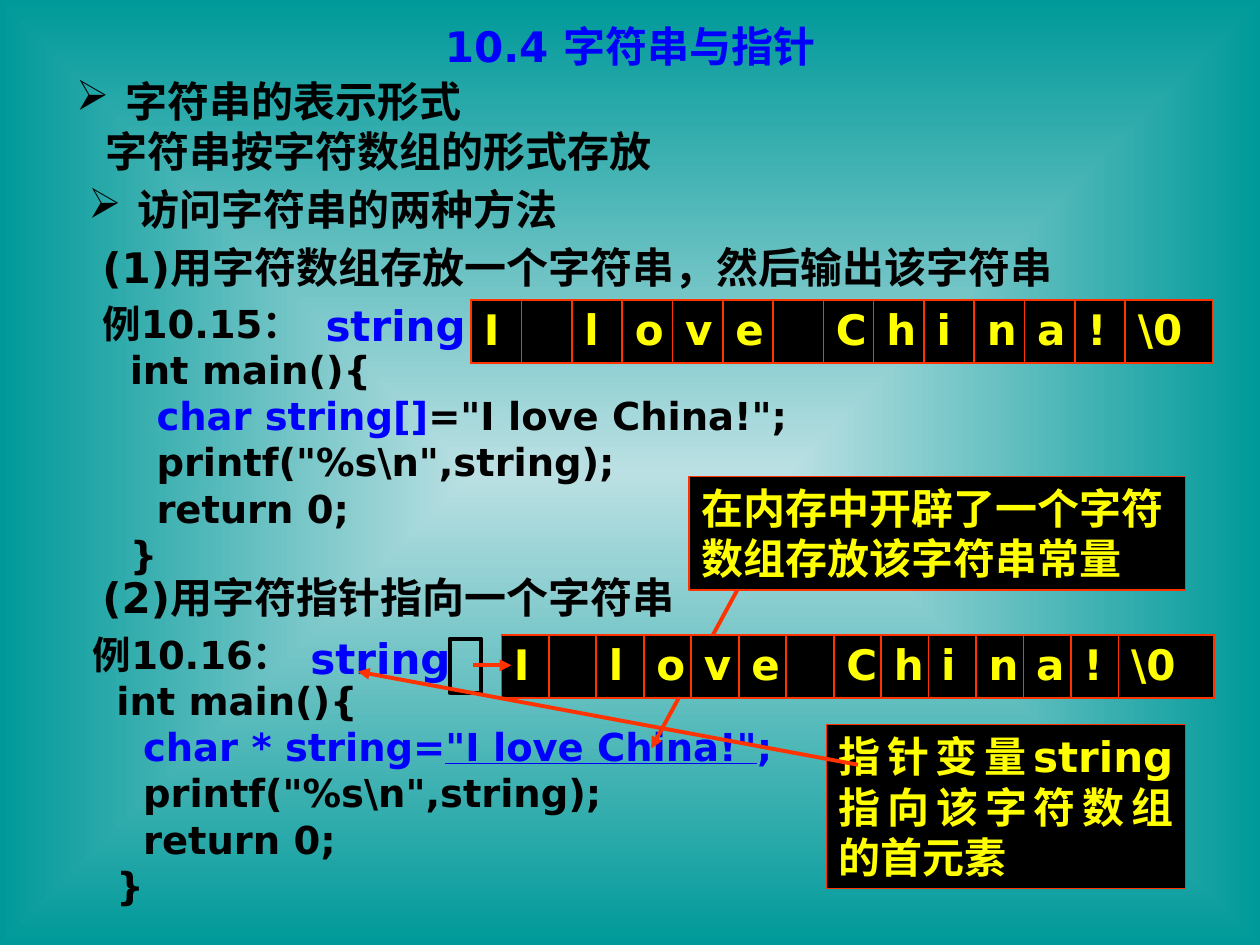
import pptx
import pptx.chart.data
import pptx.dml.color
import pptx.enum.shapes
import pptx.enum.text
import pptx.oxml
import pptx.oxml.ns
import pptx.util
from lxml import etree

Pt = pptx.util.Pt
ALIGN = pptx.enum.text.PP_ALIGN
ANCHOR = pptx.enum.text.MSO_ANCHOR
RECTANGLE = pptx.enum.shapes.MSO_SHAPE.RECTANGLE
STRAIGHT = pptx.enum.shapes.MSO_CONNECTOR.STRAIGHT
qn = pptx.oxml.ns.qn
BLACK, BLUE, YELLOW, RED = "000000", "0000FF", "FFFF00", "FF3300"


def color(value):
    return pptx.dml.color.RGBColor.from_string(value)


def write(frame, lines, size=24, ink=BLACK, align=ALIGN.LEFT, inset=(7.2, 3.6), anchor=ANCHOR.TOP):
    """Fill a frame; a line is (indent, bullet, spans), a span is (text, ink, underline)."""
    settings = {"word_wrap": True, "vertical_anchor": anchor,
                "margin_left": Pt(inset[0]), "margin_right": Pt(inset[0]),
                "margin_top": Pt(inset[1]), "margin_bottom": Pt(inset[1])}
    for name, value in settings.items():
        setattr(frame, name, value)
    for number, (indent, bullet, spans) in enumerate(lines):
        para = frame.add_paragraph() if number else frame.paragraphs[0]
        para.alignment = align
        para.space_before = Pt(0)
        props = para._p.get_or_add_pPr()
        props.set("marL", str(Pt(indent)))
        props.set("indent", str(Pt(-28) if bullet else 0))
        if bullet:
            bullet_color = etree.SubElement(props, qn("a:buClr"))
            etree.SubElement(bullet_color, qn("a:srgbClr"), val=BLACK)
            etree.SubElement(props, qn("a:buChar"), char="➢")
        else:
            etree.SubElement(props, qn("a:buNone"))
        for text, span_ink, underline in spans:
            span = para.add_run()
            span.text = text
            look = {"name": "DejaVu Sans", "size": Pt(size), "bold": True, "underline": underline}
            for name, value in look.items():
                setattr(span.font, name, value)
            span.font.color.rgb = color(span_ink or ink)


deck = pptx.Presentation()
deck.slide_width, deck.slide_height = Pt(720), Pt(540)
page = deck.slides.add_slide(deck.slide_layouts[5])

backdrop = page.background.fill
backdrop.gradient()
for stop, value in zip(backdrop.gradient_stops, ("BBE0E3", "009999")):
    stop.color.rgb = color(value)
gradient = page.element.xpath(".//p:bg//a:gradFill")[0]
gradient.remove(gradient.find(qn("a:lin")))
radial = etree.SubElement(gradient, qn("a:path"))
radial.set("path", "rect")
etree.SubElement(radial, qn("a:fillToRect"), l="50000", t="50000", r="50000", b="50000")

title = page.shapes.title
title.left, title.top, title.width, title.height = Pt(36), Pt(8), Pt(648), Pt(36)
write(title.text_frame, [(0, False, [("10.4 字符串与指针", None, None)])],
      ink=BLUE, align=ALIGN.CENTER, anchor=ANCHOR.MIDDLE)

# Outline text and code: top, height, size, lines
array_code = [
    (15, False, [("例10.15：", None, None)]),
    (0, False, [("    int main(){", None, None)]),
    (0, False, [("      ", None, None), ("char string[]", BLUE, None),
                ('="I love China!";', None, None)]),
    (0, False, [('      printf("%s\\n",string);', None, None)]),
    (0, False, [("      return 0;", None, None)]),
    (0, False, [("    }", None, None)]),
]
pointer_code = [
    (9.5, False, [("例10.16：", None, None)]),
    (0, False, [("   int main(){", None, None)]),
    (0, False, [("     ", None, None), ("char * string=", BLUE, None),
                ('"I love China!"', BLUE, True), (";", BLUE, None)]),
    (0, False, [('     printf("%s\\n",string);', None, None)]),
    (0, False, [("     return 0;", None, None)]),
    (0, False, [("   }", None, None)]),
]
blocks = [
    (39.6, 65, 24, [(28, True, [("字符串的表示形式", None, None)]),
                    (16.5, False, [("字符串按字符数组的形式存放", None, None)])]),
    (101.5, 36, 24, [(35, True, [("访问字符串的两种方法", None, None)])]),
    (134.6, 36, 24, [(15, False, [("(1)用字符数组存放一个字符串，然后输出该字符串", None, None)])]),
    (167.8, 166, 22, array_code),
    (323.3, 36, 24, [(15, False, [("(2)用字符指针指向一个字符串", None, None)])]),
    (357, 166, 22, pointer_code),
]
for top, height, size, lines in blocks:
    box = page.shapes.add_textbox(Pt(36.5), Pt(top), Pt(648), Pt(height))
    write(box.text_frame, lines, size)

for left, top in ((184.3, 171.4), (175.7, 361.4)):
    label = page.shapes.add_textbox(Pt(left), Pt(top), Pt(83.5), Pt(28.8))
    write(label.text_frame, [(0, False, [("string", None, None)])],
          ink=BLUE, align=ALIGN.CENTER, inset=(0, 0))

# Arrows run from the callouts and the pointer cell to what they explain
arrows = []
for ends in ((422.6, 334.8, 372.2, 427.7), (490.3, 437, 204.5, 383.8), (270, 380.2, 292.3, 380.2)):
    arrow = page.shapes.add_connector(STRAIGHT, *map(Pt, ends))
    arrow.line.color.rgb = color(RED)
    arrow.line.width = Pt(2.25)
    etree.SubElement(arrow.line._get_or_add_ln(), qn("a:tailEnd"), type="triangle")
    etree.SubElement(arrow._element.spPr, qn("a:effectLst"))
    arrows.append(arrow)

# Character cells: left, top, cell width, last cell width
characters = list("I love China!") + ["\\0"]
for left, top, cell_width, last_width in ((269.3, 171.4, 28.76, 50), (286.5, 362.9, 27.14, 54.7)):
    widths = [cell_width] * 13 + [last_width]
    table = page.shapes.add_table(1, 14, Pt(left), Pt(top), Pt(sum(widths)), Pt(36)).table
    table.rows[0].height = Pt(36)
    for column, width, cell, character in zip(table.columns, widths, table.rows[0].cells, characters):
        column.width = Pt(width)
        cell.fill.solid()
        cell.fill.fore_color.rgb = color(BLACK)
        cell.vertical_anchor = ANCHOR.TOP
        if character != " ":
            write(cell.text_frame, [(0, False, [(character, None, None)])], ink=YELLOW)
        props = cell._tc.get_or_add_tcPr()
        for place, side in enumerate(("lnL", "lnR", "lnT", "lnB")):
            border = etree.Element(qn("a:" + side), w=str(Pt(1.08)))
            paint = etree.SubElement(border, qn("a:solidFill"))
            etree.SubElement(paint, qn("a:srgbClr"), val=RED)
            props.insert(place, border)

callouts = [
    (393.8, 272.2, 283.7, 65, ALIGN.LEFT, "在内存中开辟了一个字符数组存放该字符串常量"),
    (472.3, 414, 205.2, 93.6, ALIGN.JUSTIFY, "指针变量string指向该字符数组的首元素"),
]
for left, top, width, height, align, text in callouts:
    callout = page.shapes.add_shape(RECTANGLE, Pt(left), Pt(top), Pt(width), Pt(height))
    callout.shadow.inherit = False
    callout.fill.solid()
    callout.fill.fore_color.rgb = color(BLACK)
    callout.line.color.rgb = color(RED)
    callout.line.width = Pt(0.75)
    write(callout.text_frame, [(0, False, [(text, None, None)])], ink=YELLOW, align=align)

pointer = page.shapes.add_shape(RECTANGLE, Pt(257), Pt(365), Pt(18), Pt(31))
pointer.shadow.inherit = False
pointer.fill.background()
pointer.line.color.rgb = color(BLACK)
pointer.line.width = Pt(2.25)

# The two pointer arrows lie on top of the cells and callouts
for arrow in arrows[1:]:
    page.shapes._spTree.append(arrow._element)

deck.save("out.pptx")
